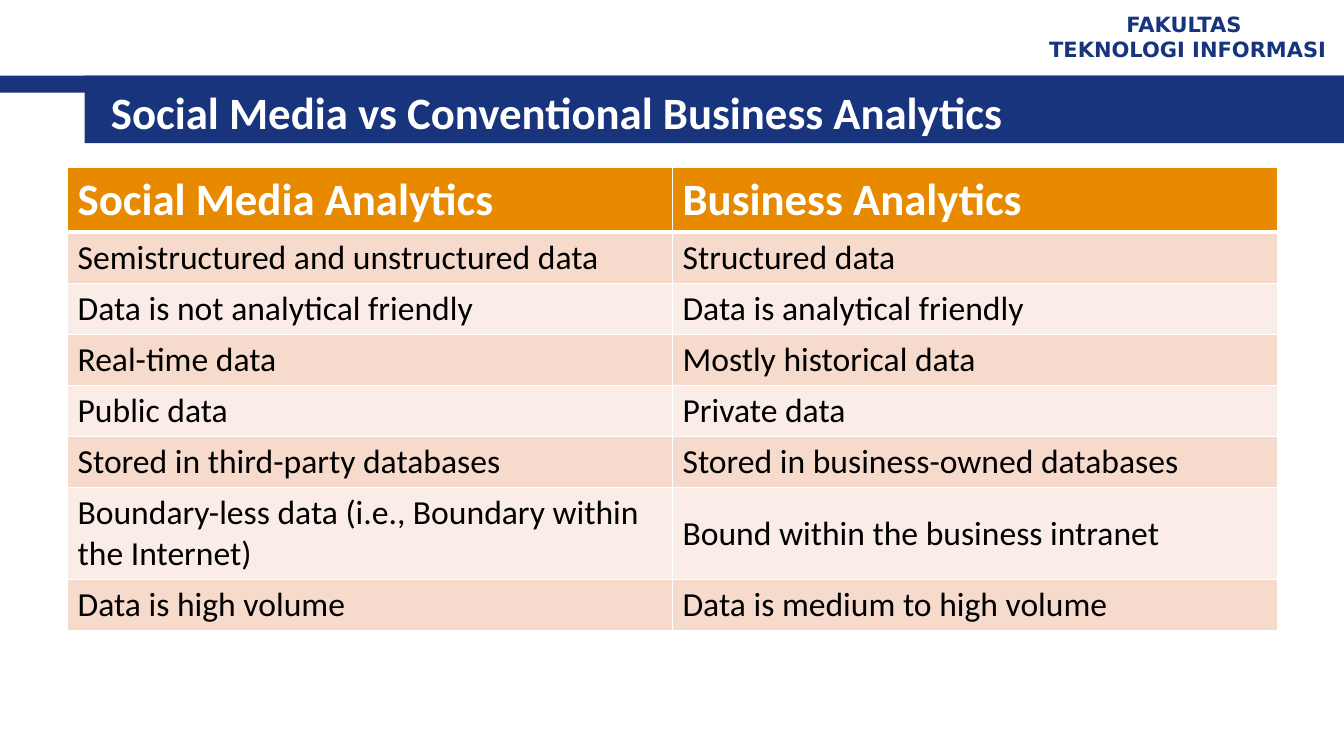
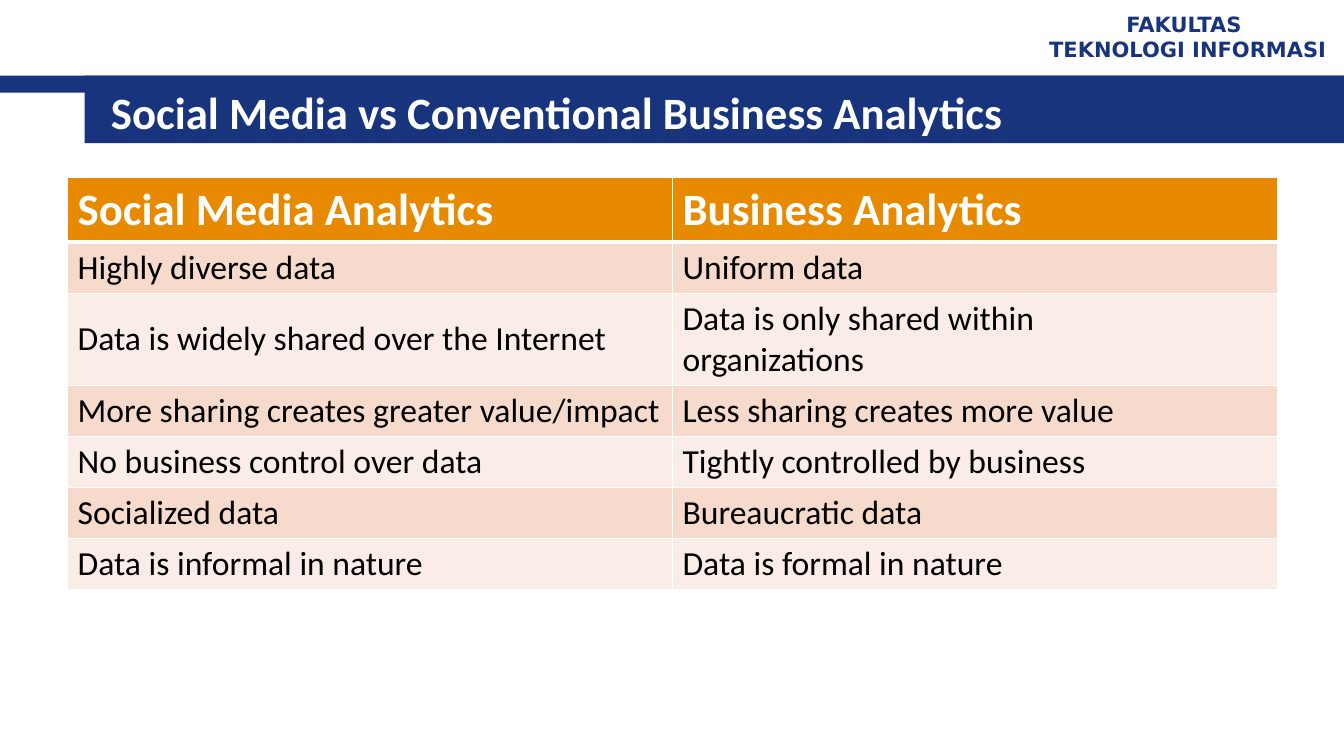
from lxml.etree import SubElement
from pptx import Presentation
from pptx.dml.color import RGBColor
from pptx.enum.shapes import MSO_SHAPE as Shape
from pptx.enum.text import MSO_ANCHOR as Anchor, MSO_AUTO_SIZE as Fit, PP_ALIGN as Align
from pptx.oxml.ns import qn
from pptx.util import Inches, Pt

WIDE, HIGH = 13.33, 7.5
NAVY, WHITE, BLACK, GOLD = "17347D", "FFFFFF", "000000", "E78A00"
BANDS = "F6DACC", "FAEDE7"
SANS, TAG = "Calibri", "DejaVu Sans"
TITLE = "Social Media vs Conventional Business Analytics"
HEADS = "Social Media Analytics", "Business Analytics"

SLIDES = [
    (1.66, [
        ("Semistructured and unstructured data", "Structured data"),
        ("Data is not analytical friendly", "Data is analytical friendly"),
        ("Real-time data", "Mostly historical data"),
        ("Public data", "Private data"),
        ("Stored in third-party databases", "Stored in business-owned databases"),
        ("Boundary-less data (i.e., Boundary within the Internet)",
         "Bound within the business intranet"),
        ("Data is high volume", "Data is medium to high volume"),
    ]),
    (1.76, [
        ("Highly diverse data", "Uniform data"),
        ("Data is widely shared over the Internet",
         "Data is only shared within\vorganizations"),
        ("More sharing creates greater value/impact", "Less sharing creates more value"),
        ("No business control over data", "Tightly controlled by business"),
        ("Socialized data", "Bureaucratic data"),
        ("Data is informal in nature", "Data is formal in nature"),
    ]),
]


def paint(color, code):
    color.rgb = RGBColor.from_string(code)


def fill(part, code):
    part.fill.solid()
    paint(part.fill.fore_color, code)


def write(frame, text, size=24, color=BLACK, bold=False, font=SANS, align=Align.LEFT):
    frame.text = text
    frame.word_wrap = True
    for para in frame.paragraphs:
        para.alignment = align
        for run in para.runs:
            run.font.size, run.font.bold, run.font.name = Pt(size), bold, font
            paint(run.font.color, color)


def place(shape, box):
    shape.left, shape.top, shape.width, shape.height = map(Inches, box)


def band(slide, box):
    bar = slide.shapes.add_shape(Shape.RECTANGLE, *map(Inches, box))
    bar.shadow.inherit = False
    fill(bar, NAVY)
    bar.line.fill.background()
    return bar


def badge(slide, box):
    label = slide.shapes.add_textbox(*map(Inches, box))
    write(label.text_frame, "FAKULTAS \nTEKNOLOGI INFORMASI", size=15,
          color=NAVY, bold=True, font=TAG, align=Align.CENTER)
    label.text_frame.vertical_anchor = Anchor.MIDDLE
    return label


def brand(layout, slide):
    """Draw the shared header once and move it into the layout."""
    parts = [band(slide, (0, 0.75, WIDE, 0.17)),
             band(slide, (0.84, 0.75, WIDE - 0.84, 0.67)),
             badge(slide, (WIDE - 3.1, 0.05, 3.1, 0.62))]
    for spot, part in enumerate(parts, 2):
        layout.shapes.element.insert(spot, part.element)
    for holder in layout.placeholders:
        if holder.placeholder_format.idx == 0:
            place(holder, (1, 0.8, 11.89, 0.62))


def edge(cell, top=1, bottom=1):
    props = cell._tc.get_or_add_tcPr()
    sides = {"lnL": 1, "lnR": 1, "lnT": top, "lnB": bottom}
    for spot, (side, width) in enumerate(sides.items()):
        line = SubElement(props, qn("a:" + side), w=str(Pt(width)))
        ink = SubElement(line, qn("a:solidFill"))
        SubElement(ink, qn("a:srgbClr"), val=WHITE)
        props.insert(spot, line)


def grid(slide, rows, box):
    table = slide.shapes.add_table(len(rows) + 1, len(HEADS), *map(Inches, box)).table
    for y, row in enumerate([HEADS, *rows]):
        for x, text in enumerate(row):
            cell = table.cell(y, x)
            if y == 0:
                write(cell.text_frame, text, size=32, color=WHITE, bold=True)
                fill(cell, GOLD)
                edge(cell, bottom=3)
            else:
                write(cell.text_frame, text)
                cell.vertical_anchor = Anchor.MIDDLE
                fill(cell, BANDS[(y - 1) % 2])
                edge(cell, top=3 if y == 1 else 1)


def head(slide):
    frame = slide.shapes.title.text_frame
    write(frame, TITLE, size=32, color=WHITE, bold=True)
    frame.vertical_anchor = Anchor.MIDDLE
    frame.auto_size = Fit.NONE


def main():
    deck = Presentation()
    deck.slide_width, deck.slide_height = Inches(WIDE), Inches(HIGH)
    layout = deck.slide_layouts[5]
    for number, (top, rows) in enumerate(SLIDES):
        slide = deck.slides.add_slide(layout)
        if number == 0:
            brand(layout, slide)
        head(slide)
        grid(slide, rows, (0.67, top, 12, 0.41 * (len(rows) + 1)))
    deck.save("out.pptx")


if __name__ == "__main__":
    main()
